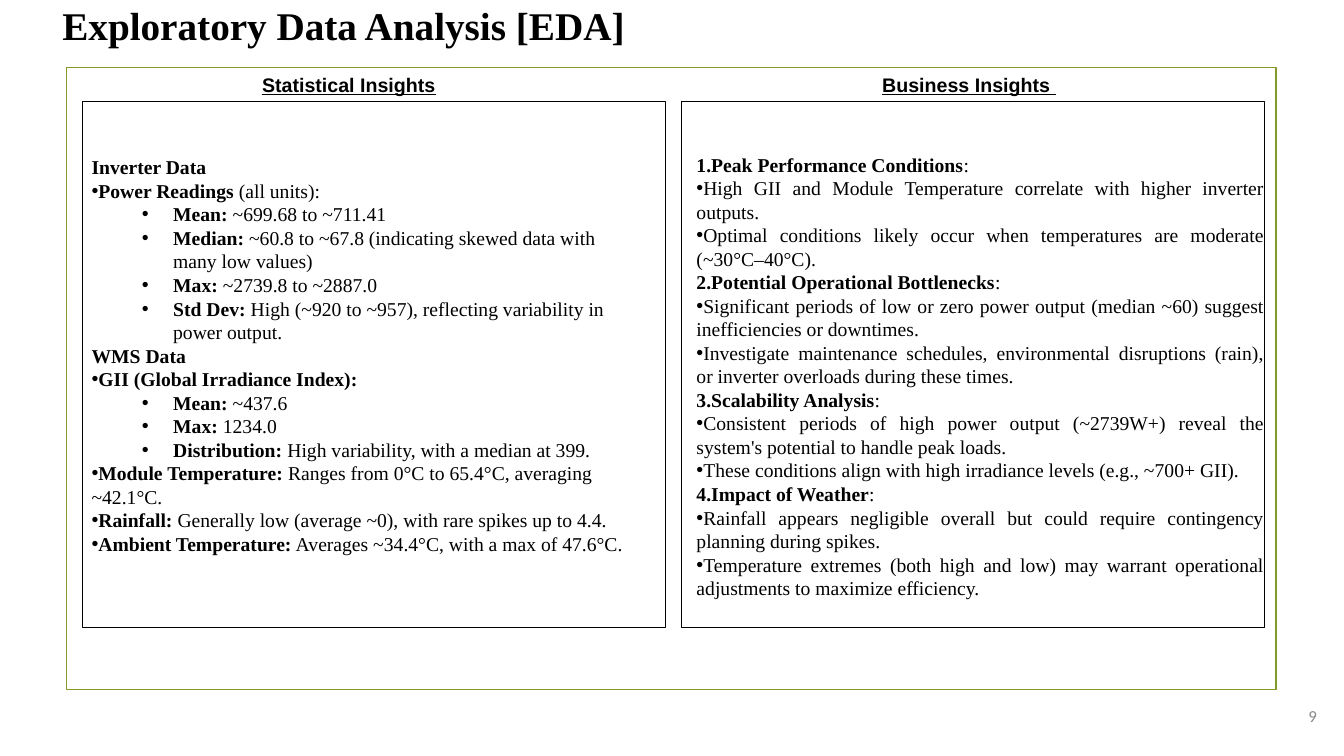
from dataclasses import dataclass
from lxml.etree import SubElement
from pptx import Presentation
from pptx.dml.color import RGBColor
from pptx.enum.shapes import MSO_SHAPE as Shape
from pptx.enum.text import MSO_ANCHOR as Anchor, PP_ALIGN as Align
from pptx.oxml.ns import qn
from pptx.util import Inches, Pt


@dataclass(frozen=True)
class Theme:
    black: RGBColor = RGBColor(0x00, 0x00, 0x00)
    olive: RGBColor = RGBColor(0x83, 0x99, 0x2A)
    gray: RGBColor = RGBColor(0x88, 0x88, 0x88)
    serif: str = "Times New Roman"
    sans: str = "Arial"
    number_font: str = "Calibri"
    title_size: int = 28
    body_size: int = 14
    number_size: int = 12


theme = Theme()
deck = Presentation()
deck.slide_width, deck.slide_height = Inches(13.33), Inches(7.5)
page = deck.slides.add_slide(deck.slide_layouts[6])


def add_text(area, lines, font, size, color=theme.black, align=Align.LEFT,
             anchor=Anchor.TOP, margin=0.05):
    """Each line is (bullet depth, bold part, plain part); depth 0 has no bullet."""
    box = page.shapes.add_textbox(*map(Inches, area))
    frame = box.text_frame
    frame.word_wrap = True
    frame.vertical_anchor = anchor
    frame.margin_top = frame.margin_bottom = Inches(margin)
    for index, (depth, strong, plain) in enumerate(lines):
        para = frame.paragraphs[0] if index == 0 else frame.add_paragraph()
        para.alignment = align
        if depth:
            props = para._p.get_or_add_pPr()
            if depth == 2:
                para.level = 1
                props.set("marL", str(Inches(0.81)))
                props.set("indent", str(Inches(-0.31)))
            SubElement(props, qn("a:buFont"), typeface="Arial")
            SubElement(props, qn("a:buChar"), char="•")
        for words, bold in ((strong, True), (plain, False)):
            if words:
                span = para.add_run()
                span.text = words
                span.font.name, span.font.size = font, Pt(size)
                span.font.bold = bold
                span.font.color.rgb = color
    return frame


def add_outline(area, color, width):
    box = page.shapes.add_shape(Shape.RECTANGLE, *map(Inches, area))
    box.shadow.inherit = False
    box.fill.background()
    box.line.color.rgb = color
    box.line.width = Pt(width)


# Outer frame, title and slide number
add_outline((0.66, 0.67, 12, 6.17), theme.olive, 1.25)
title = add_text((0.52, 0.02, 10.11, 0.52), [(0, "Exploratory Data Analysis [EDA]", "")],
                 theme.serif, theme.title_size, anchor=Anchor.MIDDLE)
title.paragraphs[0].line_spacing = 0.9
add_text((12.73, 6.94, 0.43, 0.32), [(0, "", "9")], theme.number_font,
         theme.number_size, theme.gray, Align.RIGHT, Anchor.MIDDLE)

# Panels with underlined headings
for panel_left, heading_left, heading in ((0.82, 0.52, "Statistical Insights"),
                                          (6.76, 6.67, "Business Insights ")):
    add_outline((panel_left, 1.01, 5.78, 5.22), theme.black, 0.75)
    frame = add_text((heading_left, 0.67, 5.88, 0.34), [(0, heading, "")],
                     theme.sans, theme.body_size, align=Align.CENTER)
    frame.paragraphs[0].runs[0].font.underline = True

# Statistical insights
statistics = [
    (0, "Inverter Data", ""),
    (1, "Power Readings", " (all units):"),
    (2, "Mean:", " ~699.68 to ~711.41"),
    (2, "Median:", " ~60.8 to ~67.8 (indicating skewed data with many low values)"),
    (2, "Max:", " ~2739.8 to ~2887.0"),
    (2, "Std Dev:", " High (~920 to ~957), reflecting variability in power output."),
    (0, "WMS Data", ""),
    (1, "GII (Global Irradiance Index):", ""),
    (2, "Mean:", " ~437.6"),
    (2, "Max:", " 1234.0"),
    (2, "Distribution:", " High variability, with a median at 399."),
    (1, "Module Temperature:", " Ranges from 0°C to 65.4°C, averaging ~42.1°C."),
    (1, "Rainfall:", " Generally low (average ~0), with rare spikes up to 4.4."),
    (1, "Ambient Temperature:", " Averages ~34.4°C, with a max of 47.6°C."),
]
add_text((0.81, 1.44, 5.64, 4.21), statistics, theme.serif, theme.body_size, margin=0.1)

# Business insights
business = [
    (0, "1.Peak Performance Conditions", ":"),
    (1, "", "High GII and Module Temperature correlate with higher inverter outputs."),
    (1, "", "Optimal conditions likely occur when temperatures are moderate (~30°C–40°C)."),
    (0, "2.Potential Operational Bottlenecks", ":"),
    (1, "", "Significant periods of low or zero power output (median ~60) suggest "
            "inefficiencies or downtimes."),
    (1, "", "Investigate maintenance schedules, environmental disruptions (rain), "
            "or inverter overloads during these times."),
    (0, "3.Scalability Analysis", ":"),
    (1, "", "Consistent periods of high power output (~2739W+) reveal the system's "
            "potential to handle peak loads."),
    (1, "", "These conditions align with high irradiance levels (e.g., ~700+ GII)."),
    (0, "4.Impact of Weather", ":"),
    (1, "", "Rainfall appears negligible overall but could require contingency "
            "planning during spikes."),
    (1, "", "Temperature extremes (both high and low) may warrant operational "
            "adjustments to maximize efficiency."),
]
add_text((6.81, 1.44, 5.83, 4.58), business, theme.serif, theme.body_size,
         align=Align.JUSTIFY, anchor=Anchor.MIDDLE)

deck.save("out.pptx")
